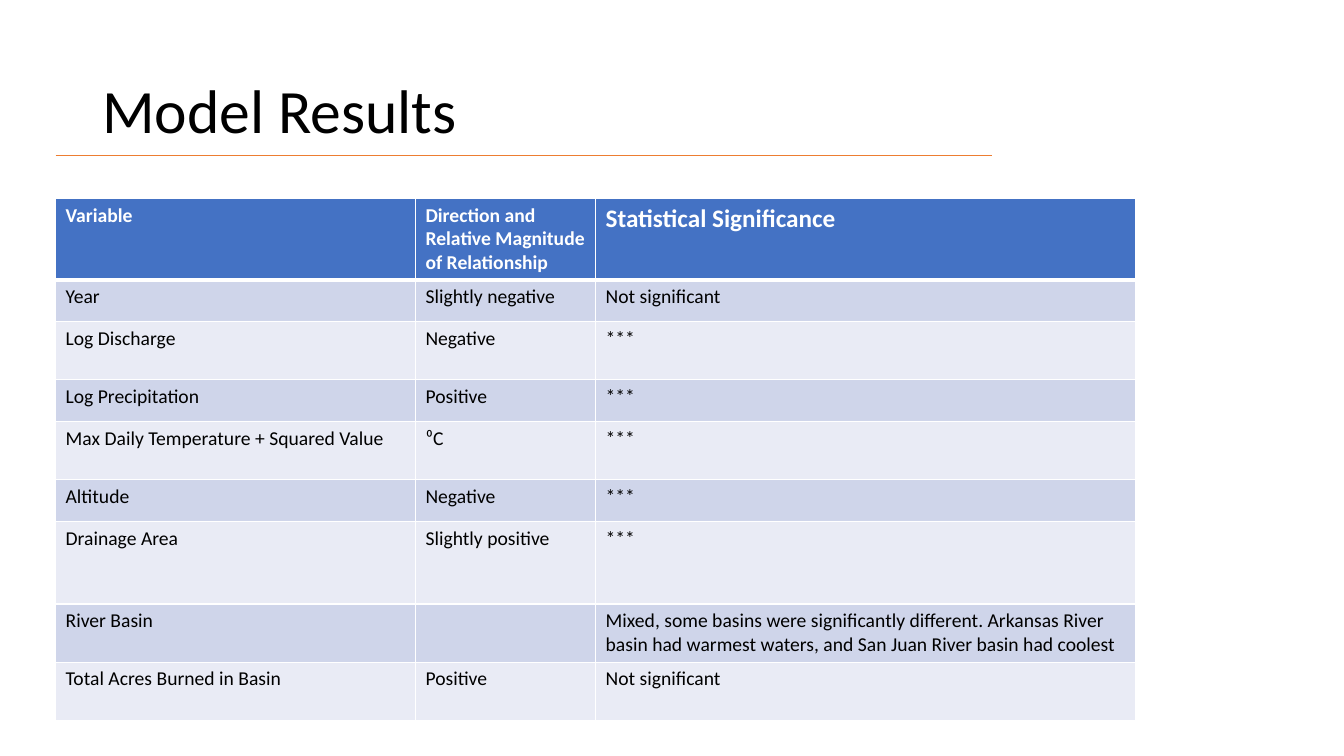
import pptx
import pptx.dml.color
import pptx.enum.shapes
import pptx.enum.text
import pptx.oxml
import pptx.oxml.ns
import pptx.util
from pptx.util import Cm

FONT = "Calibri"
BLACK, WHITE = "000000", "FFFFFF"
HEADER_BLUE, BAND_DARK, BAND_LIGHT = "4472C4", "CFD5EA", "E9EBF5"
ORANGE = "ED7D31"

COL_WIDTHS = [9.07, 4.54, 13.6]
ROW_HEIGHTS = [2.05, 1.05, 1.47, 1.05, 1.47, 1.05, 2.08, 1.47, 1.47]
RESULTS = [
    ("Variable", "Direction and Relative Magnitude of Relationship",
     "Statistical Significance"),
    ("Year", "Slightly negative", "Not significant"),
    ("Log Discharge", "Negative", "***"),
    ("Log Precipitation", "Positive", "***"),
    ("Max Daily Temperature + Squared Value", "⁰C", "***"),
    ("Altitude", "Negative", "***"),
    ("Drainage Area", "Slightly positive", "***"),
    ("River Basin", "",
     "Mixed, some basins were significantly different. Arkansas River basin "
     "had warmest waters, and San Juan River basin had coolest"),
    ("Total Acres Burned in Basin", "Positive", "Not significant"),
]


def rgb(color):
    return pptx.dml.color.RGBColor.from_string(color)


def write_text(tf, text, size=14, color=BLACK, bold=False, spacing=None):
    tf.word_wrap = True
    p = tf.paragraphs[0]
    p.line_spacing = spacing
    p.font.size = pptx.util.Pt(size)
    if text:
        r = p.add_run()
        r.text = text
        r.font.name = FONT
        r.font.size = pptx.util.Pt(size)
        r.font.bold = bold
        r.font.color.rgb = rgb(color)


def add_title(slide, text):
    sp = slide.shapes.add_textbox(Cm(2.33), Cm(1.01), Cm(29.21), Cm(3.68))
    sp.text_frame.vertical_anchor = pptx.enum.text.MSO_ANCHOR.MIDDLE
    write_text(sp.text_frame, text, size=44, spacing=0.9)


def add_rule(slide, left, right, y):
    line = slide.shapes.add_connector(
        pptx.enum.shapes.MSO_CONNECTOR.STRAIGHT, Cm(left), Cm(y), Cm(right), Cm(y))
    line.line.color.rgb = rgb(ORANGE)
    line.line.width = pptx.util.Pt(0.5)
    sp_pr = line._element.spPr
    sp_pr.append(pptx.oxml.parse_xml(
        f'<a:effectLst {pptx.oxml.ns.nsdecls("a")}/>'))


def set_borders(cell, top=1, bottom=1):
    tc_pr = cell._tc.get_or_add_tcPr()
    for side, width in (("L", 1), ("R", 1), ("T", top), ("B", bottom)):
        tc_pr.append(pptx.oxml.parse_xml(
            f'<a:ln{side} {pptx.oxml.ns.nsdecls("a")} w="{pptx.util.Pt(width)}">'
            f'<a:solidFill><a:srgbClr val="{WHITE}"/></a:solidFill></a:ln{side}>'))


def add_results_table(slide, left, top):
    table = slide.shapes.add_table(
        len(RESULTS), len(COL_WIDTHS), Cm(left), Cm(top),
        Cm(sum(COL_WIDTHS)), Cm(sum(ROW_HEIGHTS))).table
    for col, width in zip(table.columns, COL_WIDTHS):
        col.width = Cm(width)
    for row, height in zip(table.rows, ROW_HEIGHTS):
        row.height = Cm(height)

    for i, values in enumerate(RESULTS):
        header = i == 0
        fill = HEADER_BLUE if header else BAND_DARK if i % 2 else BAND_LIGHT
        for j, value in enumerate(values):
            cell = table.cell(i, j)
            # A thick rule separates the header from the body
            set_borders(cell, top=3 if i == 1 else 1, bottom=3 if header else 1)
            cell.fill.solid()
            cell.fill.fore_color.rgb = rgb(fill)
            write_text(cell.text_frame, value, size=18 if header and j == 2 else 14,
                       color=WHITE if header else BLACK, bold=header)


def main():
    prs = pptx.Presentation()
    prs.slide_width, prs.slide_height = Cm(33.87), Cm(19.05)
    slide = prs.slides.add_slide(prs.slide_layouts[6])

    # Heading
    add_title(slide, "Model Results")
    add_rule(slide, left=1.4, right=25, y=3.91)

    # Results by variable
    add_results_table(slide, left=1.4, top=5)

    prs.save("out.pptx")


if __name__ == "__main__":
    main()
